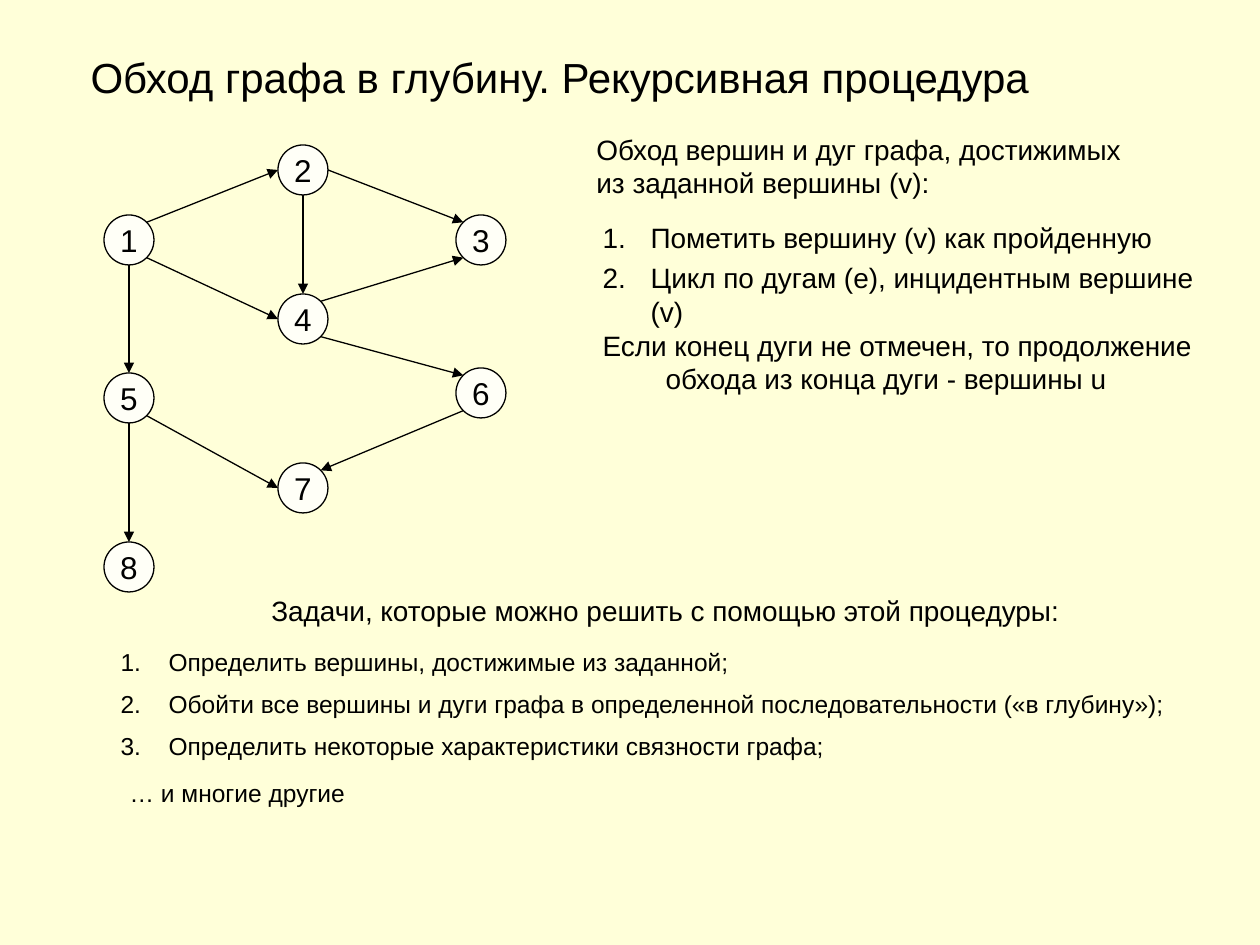
import math

import lxml.etree
import pptx
import pptx.dml.color
import pptx.enum.shapes
import pptx.enum.text
import pptx.oxml.ns
import pptx.util

PAGE_WIDTH, PAGE_HEIGHT = 1260, 945
PX = 914400 / 126

CREAM = pptx.dml.color.RGBColor(0xFF, 0xFF, 0xD9)
IVORY = pptx.dml.color.RGBColor(0xFF, 0xFF, 0xF7)
BLACK = pptx.dml.color.RGBColor(0, 0, 0)
FONT = "Arial"
LINE_WIDTH = pptx.util.Pt(0.75)

TITLE = "Обход графа в глубину. Рекурсивная процедура"
INTRO = "Обход вершин и дуг графа, достижимых из заданной вершины (v):"
STEPS = [
    "Пометить вершину (v) как пройденную",
    "Цикл по дугам (e), инцидентным вершине (v)",
]
STEP_DETAIL = ("Если конец дуги не отмечен, то продолжение "
               "обхода из конца дуги - вершины u")
TASKS_HEADING = "Задачи, которые можно решить с помощью этой процедуры:"
TASKS = [
    "Определить вершины, достижимые из заданной;",
    "Обойти все вершины и дуги графа в определенной последовательности («в глубину»);",
    "Определить некоторые характеристики связности графа;",
]
TASKS_END = "… и многие другие"

NODE_SIZE = 50
LEFT, MIDDLE, RIGHT = 129, 303, 481
NODES = {  # centres
    1: (LEFT, 240), 2: (MIDDLE, 170), 3: (RIGHT, 240), 4: (MIDDLE, 319),
    5: (LEFT, 398), 6: (RIGHT, 393), 7: (MIDDLE, 488), 8: (LEFT, 567),
}
SITES = {"E": 0, "SE": 45, "S": 90, "SW": 135, "W": 180, "NW": 225, "N": 270, "NE": 315}
ARCS = [
    (1, "NE", 2, "W"), (2, "E", 3, "NW"), (2, "S", 4, "N"), (4, "NE", 3, "SW"),
    (1, "SE", 4, "W"), (4, "SE", 6, "NW"), (6, "SW", 7, "NE"), (1, "S", 5, "N"),
    (5, "S", 8, "N"), (5, "SE", 7, "W"),
]


def emu(*lengths):
    return [round(length * PX) for length in lengths]


def add_element(parent, tag, **attributes):
    return lxml.etree.SubElement(parent, pptx.oxml.ns.qn(tag), attributes)


def write(box, paragraphs, size, align=None, anchor="TOP", wrap=True):
    """Fill a box from (text, format) pairs; a format may hold before, hang, margin, numbered."""
    frame = box.text_frame
    frame.word_wrap = wrap
    frame.auto_size = pptx.enum.text.MSO_AUTO_SIZE.NONE
    frame.vertical_anchor = pptx.enum.text.MSO_ANCHOR[anchor]
    for index, (text, style) in enumerate(paragraphs):
        para = frame.paragraphs[0] if index == 0 else frame.add_paragraph()
        para.alignment = pptx.enum.text.PP_ALIGN[align or "LEFT"]
        para.space_before = pptx.util.Pt(style.get("before", 0))
        hang = style.get("hang", 0)
        properties = para._p.get_or_add_pPr()
        properties.set("marL", str(emu(style.get("margin", hang))[0]))
        properties.set("indent", str(emu(-hang)[0]))
        if style.get("numbered"):
            add_element(properties, "a:buFont", typeface=FONT)
            add_element(properties, "a:buAutoNum", type="arabicPeriod")
        else:
            add_element(properties, "a:buNone")
        span = para.add_run()
        span.text = text
        span.font.name = FONT
        span.font.size = pptx.util.Pt(size)
        span.font.color.rgb = BLACK


def place(box, *bounds):
    box.left, box.top, box.width, box.height = emu(*bounds)
    return box


def numbered(items, gap):
    return [(item, {"numbered": True, "hang": 48, "before": gap if index else 0})
            for index, item in enumerate(items)]


def add_node(page, label, centre):
    x, y = centre
    node = page.shapes.add_shape(
        pptx.enum.shapes.MSO_SHAPE.OVAL,
        *emu(x - NODE_SIZE / 2, y - NODE_SIZE / 2, NODE_SIZE, NODE_SIZE))
    node.shadow.inherit = False
    node.fill.solid()
    node.fill.fore_color.rgb = IVORY
    node.line.color.rgb = BLACK
    node.line.width = LINE_WIDTH
    write(node, [(str(label), {})], 18, align="CENTER", anchor="MIDDLE", wrap=False)


def site_point(node, site):
    x, y = NODES[node]
    angle = math.radians(SITES[site])
    return emu(x + NODE_SIZE / 2 * math.cos(angle), y + NODE_SIZE / 2 * math.sin(angle))


def add_arc(page, start, start_site, end, end_site):
    arc = page.shapes.add_connector(
        pptx.enum.shapes.MSO_CONNECTOR.STRAIGHT,
        *site_point(start, start_site), *site_point(end, end_site))
    arc.line.color.rgb = BLACK
    arc.line.width = LINE_WIDTH
    add_element(arc.line._get_or_add_ln(), "a:tailEnd", type="triangle")
    add_element(arc._element.spPr, "a:effectLst")


def main():
    deck = pptx.Presentation()
    deck.slide_width, deck.slide_height = emu(PAGE_WIDTH, PAGE_HEIGHT)
    page = deck.slides.add_slide(deck.slide_layouts.get_by_name("Two Content"))
    page.background.fill.solid()
    page.background.fill.fore_color.rgb = CREAM
    title, steps, tasks = list(page.placeholders)[:3]
    for spare in list(page.placeholders)[3:]:
        spare._element.getparent().remove(spare._element)

    write(place(title, 78, 45, 974, 63), [(TITLE, {})], 24)
    for label, centre in NODES.items():
        add_node(page, label, centre)
    for arc in ARCS:
        add_arc(page, *arc)

    for text, bounds in [(INTRO, (584, 126, 560, 81)),
                         (TASKS_HEADING, (259, 587, 830, 47))]:
        write(page.shapes.add_textbox(*emu(*bounds)), [(text, {})], 16)
    write(place(steps, 590, 214, 638, 188),
          numbered(STEPS, 4) + [(STEP_DETAIL, {"hang": 63})], 16)
    write(place(tasks, 108, 641, 1080, 174),
          numbered(TASKS, 7) + [(TASKS_END, {"margin": 9, "before": 10})], 14)
    deck.save("out.pptx")


if __name__ == "__main__":
    main()
